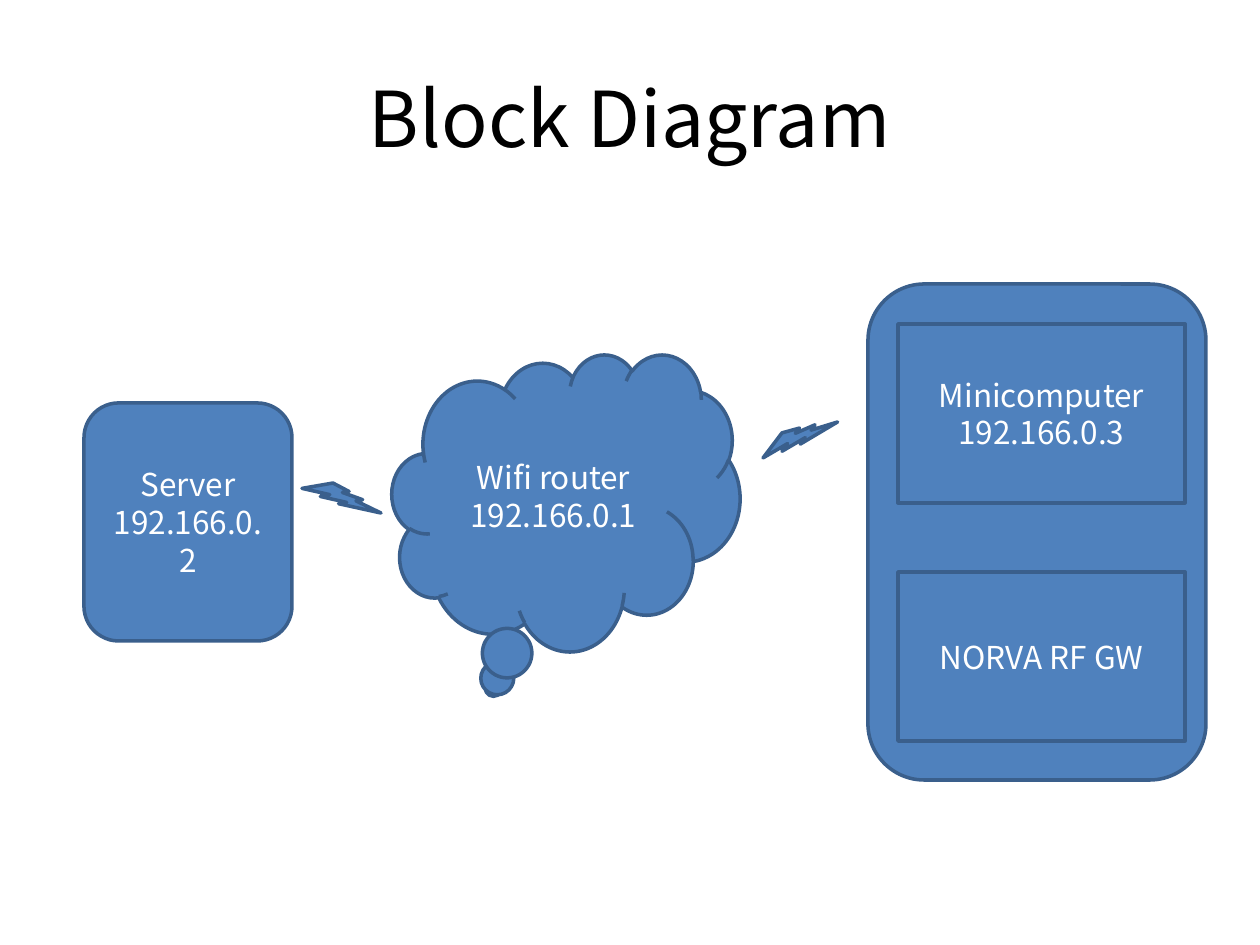
from pptx import Presentation
from pptx.dml.color import RGBColor
from pptx.enum.shapes import MSO_SHAPE
from pptx.enum.text import MSO_ANCHOR, PP_ALIGN
from pptx.util import Emu, Inches, Pt

PIXEL = Inches(1) / 126
FONT = "Noto Sans CJK KR"
BLACK = RGBColor(0x00, 0x00, 0x00)
WHITE = RGBColor(0xFF, 0xFF, 0xFF)
BLUE = RGBColor(0x4F, 0x81, 0xBD)
DARK_BLUE = RGBColor(0x3A, 0x5F, 0x8C)


def pixels(*lengths):
    return [Emu(round(length * PIXEL)) for length in lengths]


def write_text(text_frame, text, size=18, color=WHITE):
    text_frame.word_wrap = True
    text_frame.vertical_anchor = MSO_ANCHOR.MIDDLE
    for index, line in enumerate(text.split("\n")):
        paragraph = text_frame.paragraphs[0] if index == 0 else text_frame.add_paragraph()
        paragraph.alignment = PP_ALIGN.CENTER
        run = paragraph.add_run()
        run.text = line
        run.font.name = FONT
        run.font.size = Pt(size)
        run.font.color.rgb = color


class DiagramSlide:
    fill = BLUE
    line = DARK_BLUE
    line_width = Pt(2)

    def __init__(self, presentation):
        self.slide = presentation.slides.add_slide(presentation.slide_layouts[6])

    def title(self, text, box):
        shape = self.slide.shapes.add_textbox(*pixels(*box))
        write_text(shape.text_frame, text, size=44, color=BLACK)

    def block(self, kind, box, text="", rotation=0):
        shape = self.slide.shapes.add_shape(kind, *pixels(*box))
        shape.shadow.inherit = False
        shape.fill.solid()
        shape.fill.fore_color.rgb = self.fill
        shape.line.color.rgb = self.line
        shape.line.width = self.line_width
        shape.rotation = rotation
        if text:
            write_text(shape.text_frame, text)


presentation = Presentation()
presentation.slide_width, presentation.slide_height = Inches(10), Inches(7.5)

diagram = DiagramSlide(presentation)
diagram.title("Block Diagram", (63, 38, 1134, 158))
diagram.block(MSO_SHAPE.ROUNDED_RECTANGLE, (84, 403, 208, 238), "Server\n192.166.0.2")
diagram.block(MSO_SHAPE.CLOUD_CALLOUT, (392, 354, 348, 297), "Wifi router\n192.166.0.1")
diagram.block(MSO_SHAPE.ROUNDED_RECTANGLE, (868, 284, 338, 496))
for top, height, text in ((324, 179, "Minicomputer\n192.166.0.3"), (572, 169, "NORVA RF GW")):
    diagram.block(MSO_SHAPE.RECTANGLE, (898, top, 287, height), text)
for left, top, rotation in ((302, 483, 0), (759, 423, 316.9)):
    diagram.block(MSO_SHAPE.LIGHTNING_BOLT, (left, top, 79, 30), rotation=rotation)

presentation.save("out.pptx")
